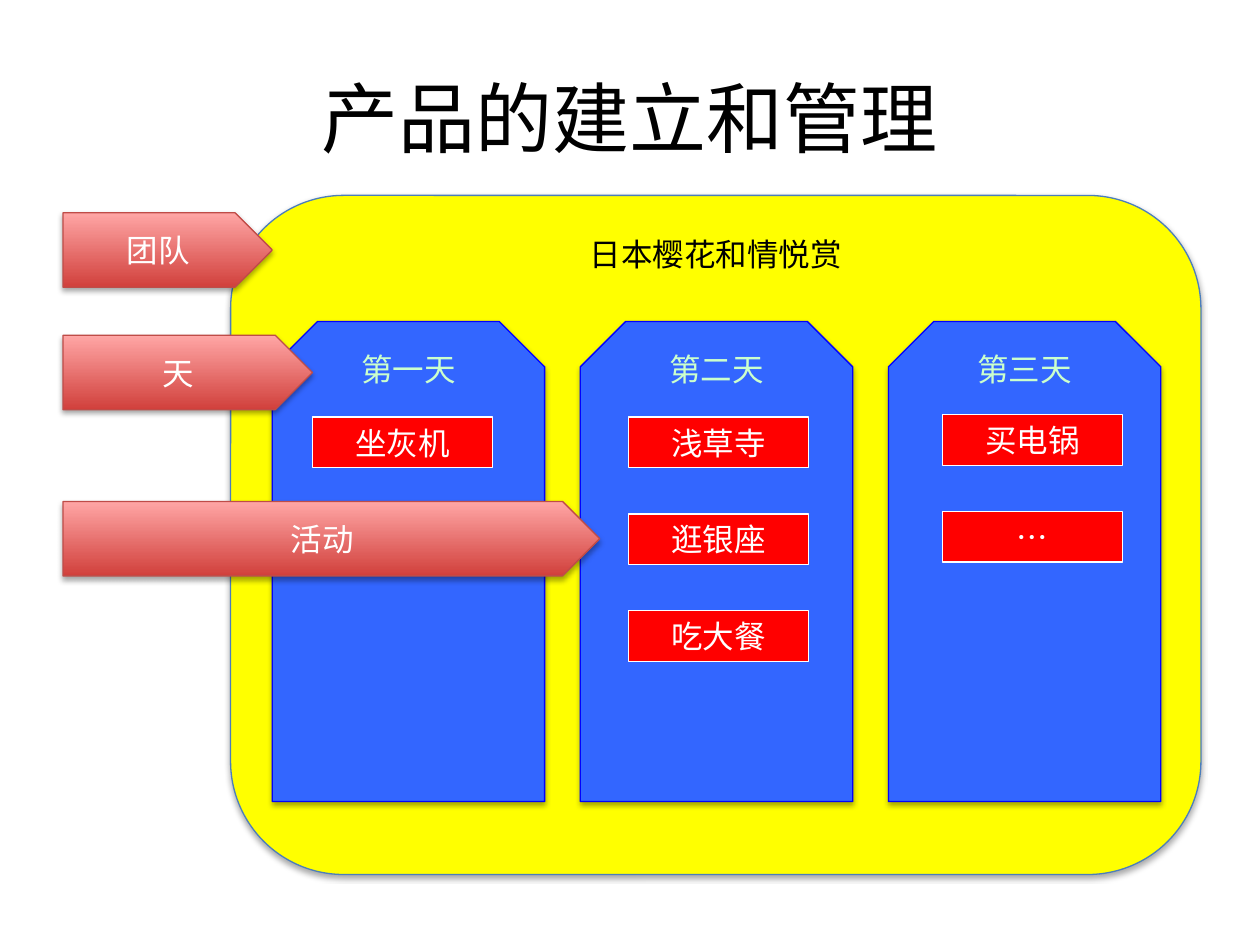
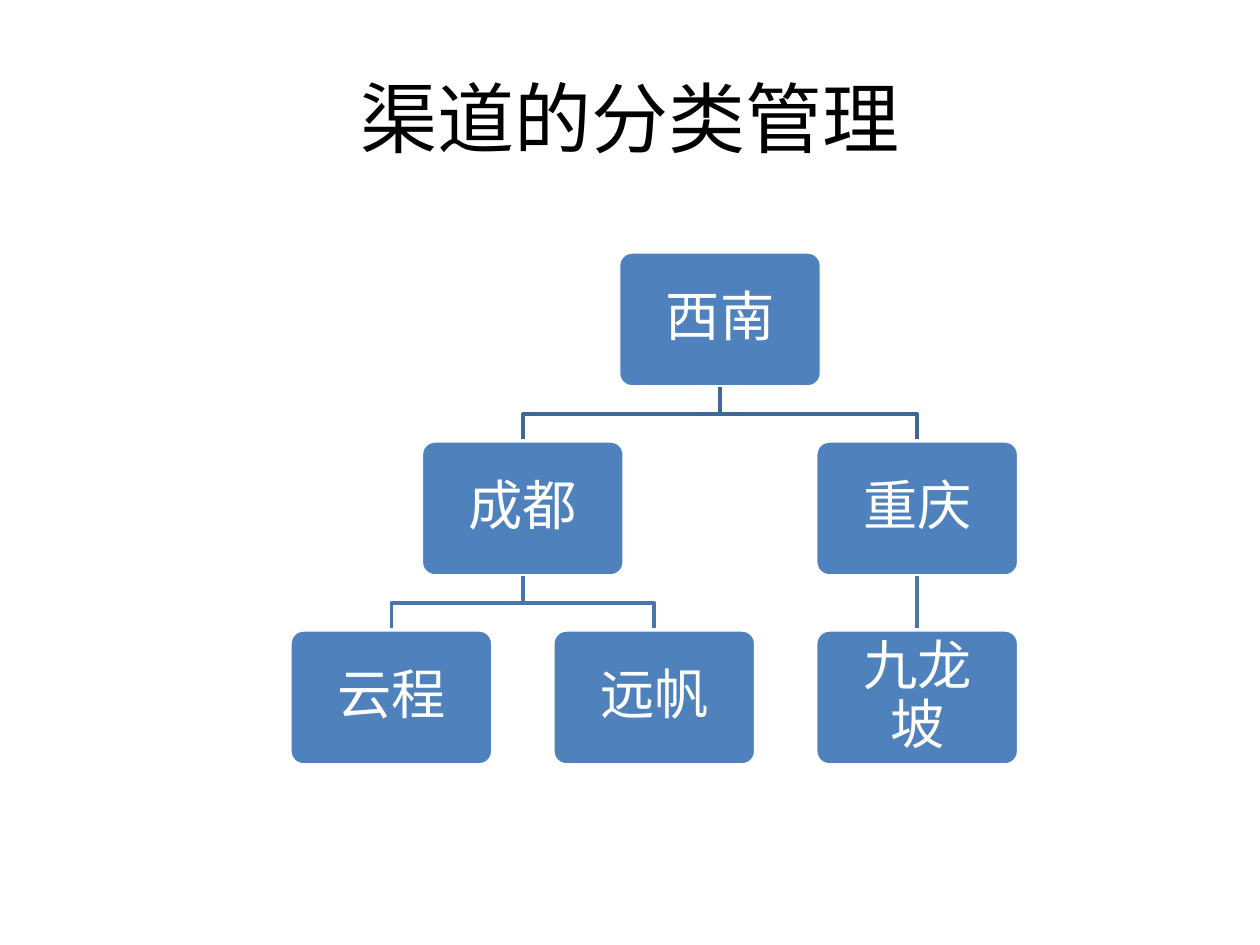
from pptx import Presentation
from pptx.dml.color import RGBColor
from pptx.enum.shapes import MSO_CONNECTOR as Link, MSO_SHAPE as Kind
from pptx.enum.text import MSO_ANCHOR as Anchor, PP_ALIGN as Align
from pptx.oxml.ns import qn
from pptx.util import Cm, Pt
from lxml.etree import SubElement as Sub

FONT = "Noto Sans CJK SC"
WHITE, BLACK = "FFFFFF", "000000"
YELLOW, RED, BLUE = "FFFF00", "FF0000", "3366FF"
NODE = "4F81BD"
LINKS = ["3F6797", "4875AC"]  # by level of the tree

# Tree grid in cm
BOX_W, BOX_H = 4.09, 2.72
TOP, ROW = 5.08, 3.81
LEAF, STEP = 7.89, 5.3

DAYS = [("第一天", 6.3, 8.41, ["坐灰机"]),
        ("第二天", 12.67, 8.41, ["浅草寺", "逛银座", "吃大餐"]),
        ("第三天", 19, 8.36, ["买电锅", "…"])]
LABELS = [("团队", 4.29, 4.22), ("天", 6.76, 5.03), ("活动", 10.11, 10.82)]
TREE = ("西南", [("成都", [("云程", []), ("远帆", [])]),
               ("重庆", [("九龙坡", [])])])


def color(code):
    return RGBColor.from_string(code)


def write(shape, text, size, ink, anchor=Anchor.MIDDLE):
    frame = shape.text_frame
    frame.text = text
    frame.word_wrap = True
    frame.vertical_anchor = anchor
    para = frame.paragraphs[0]
    para.alignment = Align.CENTER
    for run in para.runs:
        run.font.size = Pt(size)
        run.font.name = FONT
        run.font.color.rgb = color(ink)
        # East Asian text takes its own typeface
        Sub(run.font._element, qn("a:ea"), typeface=FONT)
    return frame


def stroke(shape, code, width):
    shape.line.color.rgb = color(code)
    shape.line.width = Pt(width)


def shade(shape):
    """Soft shadow below the shape."""
    props = shape._element.spPr
    drop = Sub(props.find(qn("a:effectLst")), qn("a:outerShdw"),
               blurRad="40000", dist="23000", dir="5400000", rotWithShape="0")
    ink = Sub(drop, qn("a:srgbClr"), val=BLACK)
    Sub(ink, qn("a:alpha"), val="35000")


def block(shapes, kind, x, y, w, h, fill, line, width=0.75):
    shape = shapes.add_shape(kind, Cm(x), Cm(y), Cm(w), Cm(h))
    shape.shadow.inherit = False
    shape.fill.solid()
    shape.fill.fore_color.rgb = color(fill)
    stroke(shape, line, width)
    return shape


def label(shapes, text, y, w):
    """Red arrow tag that names a level."""
    tag = block(shapes, Kind.PENTAGON, 1.27, y, w, 1.5, RED, "BF4C48")
    tag.fill.gradient()
    tag.fill.gradient_angle = 90
    for stop, code in zip(tag.fill.gradient_stops, ["D1403C", "FFA6A5"]):
        stop.color.rgb = color(code)
    shade(tag)
    write(tag, text, 18, WHITE)


def page(deck, title):
    slide = deck.slides.add_slide(deck.slide_layouts[5])
    head = slide.shapes.title
    head.left, head.top = Cm(1.27), Cm(0.76)
    head.width, head.height = Cm(22.86), Cm(3.18)
    write(head, title, 44, BLACK)
    return slide.shapes


def center(node, leaves):
    """Add the x of each node: leaves step across, parents sit midway."""
    text, kids = node
    kids = [center(kid, leaves) for kid in kids]
    if kids:
        x = (kids[0][1] + kids[-1][1]) / 2
    else:
        x = LEAF + STEP * len(leaves)
        leaves.append(text)
    return text, x, kids


def join(shapes, x, y, end, low, code):
    """Line from a parent to a child, bent halfway down."""
    if x == end:
        line = shapes.add_connector(Link.STRAIGHT, Cm(x), Cm(y), Cm(x), Cm(low))
        Sub(line._element.spPr, qn("a:effectLst"))
    else:
        mid = (y + low) / 2
        pen = shapes.build_freeform(Cm(x), Cm(y))
        pen.add_line_segments([(Cm(x), Cm(mid)), (Cm(end), Cm(mid)),
                               (Cm(end), Cm(low))], close=False)
        line = pen.convert_to_shape()
        line.shadow.inherit = False
        line.fill.background()
    stroke(line, code, 2)


def branch(shapes, node, level=0):
    text, x, kids = node
    y = TOP + ROW * level
    box = block(shapes, Kind.ROUNDED_RECTANGLE, x - BOX_W / 2, y,
                BOX_W, BOX_H, NODE, WHITE, 2)
    box.adjustments[0] = 0.1
    frame = write(box, text, 31, WHITE)
    frame.margin_left = frame.margin_right = Cm(0.35)
    frame.margin_top = frame.margin_bottom = Cm(0.33)
    frame.paragraphs[0].line_spacing = 0.9
    for kid in kids:
        join(shapes, x, y + BOX_H, kid[1], y + ROW, LINKS[level])
        branch(shapes, kid, level + 1)


def product(deck):
    shapes = page(deck, "产品的建立和管理")
    # Tour panel
    tour = block(shapes, Kind.ROUNDED_RECTANGLE, 4.65, 3.94, 19.56, 13.69,
                 YELLOW, "4B7EBC")
    shade(tour)
    write(tour, "日本樱花和情悦赏", 18, BLACK, Anchor.TOP)
    # Day cards with their activities
    for col, (day, x, y, acts) in enumerate(DAYS):
        card = block(shapes, Kind.SNIP_2_SAME_RECTANGLE, 5.49 + 6.21 * col,
                     6.48, 5.49, 9.68, BLUE, "0000FF")
        shade(card)
        write(card, day, 18, "CCFFCC", Anchor.TOP)
        for row, act in enumerate(acts):
            item = block(shapes, Kind.RECTANGLE, x, y + 1.95 * row,
                         3.63, 1.02, RED, WHITE)
            write(item, act, 18, WHITE)
    # Level tags
    for text, y, w in LABELS:
        label(shapes, text, y, w)


def channel(deck):
    shapes = page(deck, "渠道的分类管理")
    group = shapes.add_group_shape()
    branch(group.shapes, center(TREE, []))


def main():
    deck = Presentation()
    deck.slide_width, deck.slide_height = Cm(25.4), Cm(19.05)
    product(deck)
    channel(deck)
    deck.save("out.pptx")


main()
